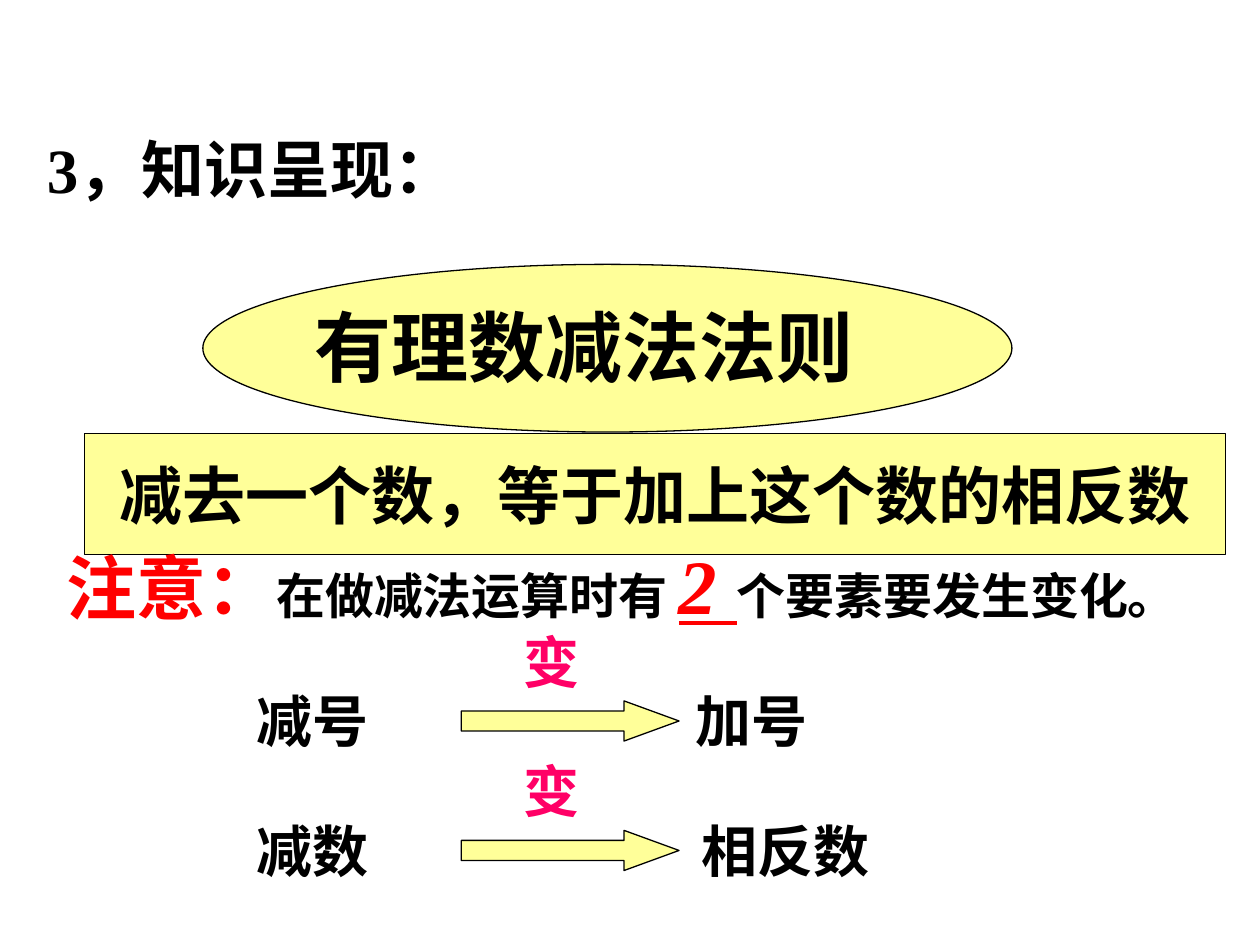
from lxml import etree
from pptx import Presentation
from pptx.dml.color import RGBColor
from pptx.enum import shapes, text
from pptx.util import Cm, Pt

BLACK = RGBColor(0x00, 0x00, 0x00)
RED = RGBColor(0xFF, 0x00, 0x00)
PINK = RGBColor(0xFF, 0x00, 0x66)
YELLOW = RGBColor(0xFF, 0xFF, 0x99)
SERIF = "Times New Roman"
NARROW = "Arial Narrow"

# Runs: (wording, size, colour, is an underlined italic answer)
HEADING = [("3，知识呈现：", 36, BLACK, False)]
RULE_NAME = [("有理数减法法则", 44, BLACK, False)]
RULE = [("减去一个数，等于加上这个数的相反数", 36, BLACK, False)]
NOTE = [
    ("注意：", 40, RED, False),
    ("在做减法运算时有 ", 28, BLACK, False),
    ("2 ", 44, RED, True),
    ("个要素要发生变化。", 28, BLACK, False),
]
CHANGE = "变"
# Before, after, left edge of the after term (cm)
CHANGES = [("减号", "加号", 13.77), ("减数", "相反数", 13.89)]
CHANGES_TOP, CHANGES_STEP = 13.72, 2.61


def write(frame, runs, font=SERIF):
    paragraph = frame.paragraphs[0]
    for wording, size, colour, is_answer in runs:
        run = paragraph.add_run()
        run.text = wording
        run.font.name = font
        run.font.size = Pt(size)
        run.font.bold = True
        run.font.color.rgb = colour
        if is_answer:
            run.font.italic = True
            run.font.underline = True
    return paragraph


def add_text(slide, box, runs):
    frame = slide.shapes.add_textbox(*map(Cm, box)).text_frame
    frame.word_wrap = True
    write(frame, runs)


def add_yellow(slide, kind, box):
    shape = slide.shapes.add_shape(kind, *map(Cm, box))
    shape.shadow.inherit = False
    shape.fill.solid()
    shape.fill.fore_color.rgb = YELLOW
    shape.line.color.rgb = BLACK
    shape.line.width = Pt(0.75)
    return shape


def place_heading(title):
    title.left, title.top, title.width, title.height = map(Cm, (0.69, 2.51, 7.59, 3.3))
    frame = title.text_frame
    frame.word_wrap = True
    frame.auto_size = text.MSO_AUTO_SIZE.NONE
    frame.vertical_anchor = text.MSO_ANCHOR.TOP
    paragraph = write(frame, HEADING)
    paragraph.alignment = text.PP_ALIGN.LEFT
    paragraph.line_spacing = 1.0
    paragraph.space_before = Pt(0)


def main():
    deck = Presentation()
    deck.slide_width, deck.slide_height = Cm(25.4), Cm(19.05)
    slide = deck.slides.add_slide(deck.slide_layouts[5])
    place_heading(slide.shapes.title)

    add_yellow(slide, shapes.MSO_SHAPE.OVAL, (4.09, 5.33, 16.31, 3.38))
    add_text(slide, (6.1, 5.92, 13.13, 2.13), RULE_NAME)

    rule = add_yellow(slide, shapes.MSO_SHAPE.RECTANGLE, (1.7, 8.74, 23.01, 2.44))
    rule.text_frame.word_wrap = False
    rule.text_frame.vertical_anchor = text.MSO_ANCHOR.MIDDLE
    write(rule.text_frame, RULE, NARROW).alignment = text.PP_ALIGN.CENTER

    add_text(slide, (1.09, 10.72, 23.29, 2.13), NOTE)

    for row, (before, after, after_left) in enumerate(CHANGES):
        top = CHANGES_TOP + row * CHANGES_STEP
        add_text(slide, (4.93, top, 4.2, 1.63), [(before, 32, BLACK, False)])
        add_text(slide, (after_left, top, 4.8, 1.63), [(after, 32, BLACK, False)])
        arrow = add_yellow(slide, shapes.MSO_SHAPE.RIGHT_ARROW, (9.3, top + 0.41, 4.39, 0.81))
        arrow.adjustments[1] = 1.37
        add_text(slide, (10.31, top - 1.2, 2.2, 1.63), [(CHANGE, 32, PINK, False)])

    deck.save("out.pptx")


if __name__ == "__main__":
    main()
